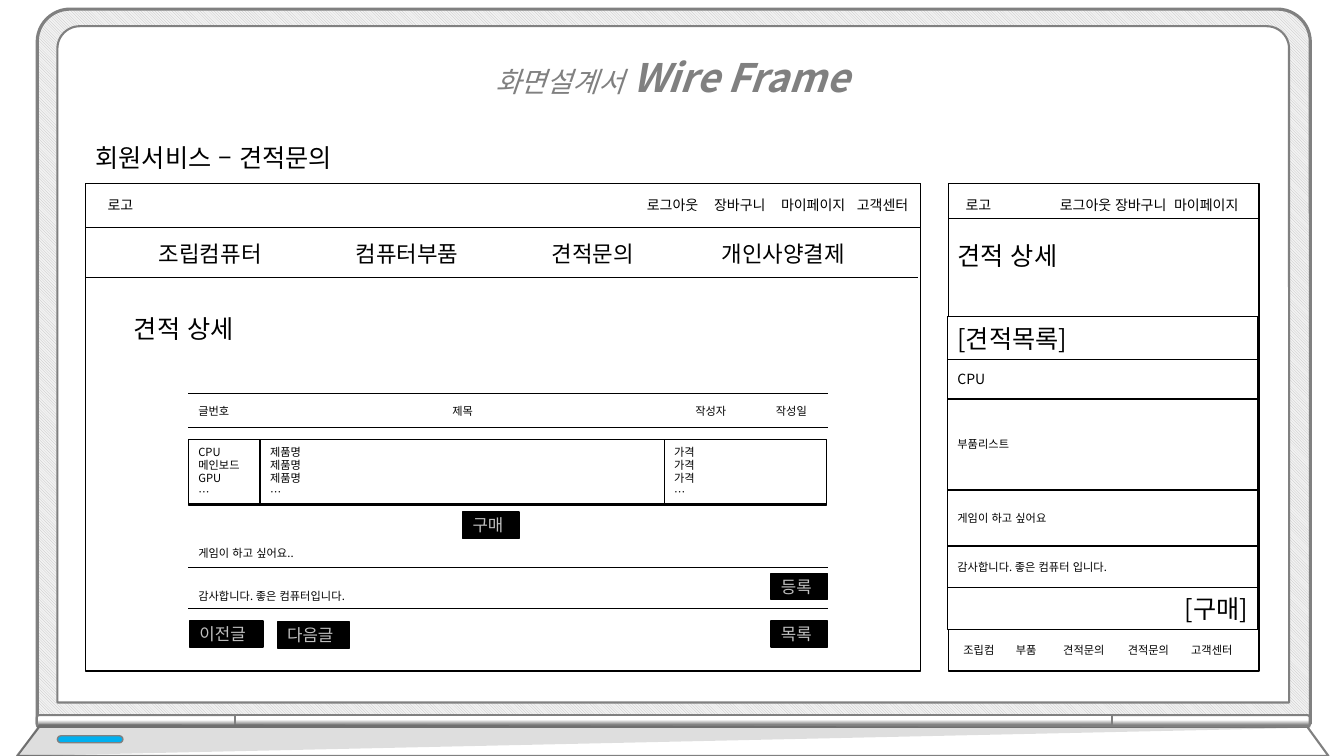
import pptx
import pptx.util
import pptx.dml.color
import pptx.enum.dml
import pptx.enum.lang
import pptx.enum.shapes
import pptx.enum.text
import pptx.oxml.ns
from lxml import etree

Pt = pptx.util.Pt
RGB = pptx.dml.color.RGBColor
KIND = pptx.enum.shapes.MSO_SHAPE
ALIGN = pptx.enum.text.PP_ALIGN
ANCHOR = pptx.enum.text.MSO_ANCHOR
KOREAN = pptx.enum.lang.MSO_LANGUAGE_ID.KOREAN
qn = pptx.oxml.ns.qn

BLACK = RGB(0x00, 0x00, 0x00)
WHITE = RGB(0xFF, 0xFF, 0xFF)
GRAY = RGB(0x80, 0x80, 0x80)
SILVER = RGB(0xBF, 0xBF, 0xBF)
PALE = RGB(0xF2, 0xF2, 0xF2)
BLUE = RGB(0x00, 0xB0, 0xF0)
FACE = "Noto Sans CJK KR"

deck = pptx.Presentation()
deck.slide_width, deck.slide_height = Pt(960), Pt(540)
slide = deck.slides.add_slide(deck.slide_layouts[5])
shapes = slide.shapes


def write(shape, lines, size, color=BLACK, align=ALIGN.LEFT, anchor=ANCHOR.TOP):
    frame = shape.text_frame
    frame.word_wrap = True
    frame.vertical_anchor = anchor
    form = {"name": FACE, "size": Pt(size), "language_id": KOREAN}
    for i, line in enumerate(lines):
        para = frame.add_paragraph() if i else frame.paragraphs[0]
        para.alignment = align
        run = para.add_run()
        run.text = line
        for key, val in form.items():
            setattr(run.font, key, val)
        run.font.color.rgb = color
        etree.SubElement(run.font._element, qn("a:ea"), typeface=FACE)


def draw(x, y, w, h, fill=WHITE, line=BLACK, wide=1, kind=KIND.RECTANGLE, adj=()):
    shape = shapes.add_shape(kind, Pt(x), Pt(y), Pt(w), Pt(h))
    shape.shadow.inherit = False
    shape.fill.solid()
    shape.fill.fore_color.rgb = fill
    shape.line.color.rgb = line
    shape.line.width = Pt(wide)
    for i, val in enumerate(adj):
        shape.adjustments[i] = val
    return shape


# Laptop lid and screen
ROUND = KIND.ROUND_2_SAME_RECTANGLE
lid = draw(26.6, 6.5, 909.4, 510.5, PALE, GRAY, 2.25, ROUND, (0.046, 0))
lid.fill.patterned()
lid.fill.pattern = pptx.enum.dml.MSO_PATTERN.LIGHT_DOWNWARD_DIAGONAL
lid.fill.fore_color.rgb = SILVER
lid.fill.back_color.rgb = PALE
draw(41, 18.7, 879.8, 483.1, WHITE, GRAY, 1.5, ROUND, (0.033, 0))

# Hinge strips, turned on their side
for x, y, h, turn, curve in [
    (92.9, 444.2, 141.8, 270, 0.193),
    (860.4, 444.2, 141.8, 90, 0.193),
    (476.6, 201.6, 626.4, 270, 0),
]:
    hinge = draw(x, y, 8.6, h, WHITE, GRAY, 1.5, ROUND, (curve, 0))
    hinge.rotation = turn
    hinge.fill.gradient()
    hinge.fill.gradient_angle = 0
    for stop, place, color in zip(hinge.fill.gradient_stops, (0.17, 0.59), (GRAY, WHITE)):
        stop.position = place
        stop.color.rgb = color
    if turn == 90:
        hinge.element.spPr.find(qn("a:xfrm")).set("flipH", "1")

# Keyboard base with its shade
base = [(28.1, 519.1), (933.8, 519.1), (949, 540), (12.2, 540)]
shade = [(28.1, 517), (12.2, 540), (937.4, 519.8)]
for dots, color in [(base, WHITE), (shade, BLACK)]:
    dots = [(Pt(x), Pt(y)) for x, y in dots]
    pen = shapes.build_freeform(*dots[0])
    pen.add_line_segments(dots[1:], close=True)
    form = pen.convert_to_shape()
    form.shadow.inherit = False
    form.fill.solid()
    form.fill.fore_color.rgb = color
    if color == WHITE:
        form.line.color.rgb = GRAY
        form.line.width = Pt(1.5)
    else:
        form.line.fill.background()
        tint = form.element.spPr.find(qn("a:solidFill"))[0]
        etree.SubElement(tint, qn("a:alpha"), val="13000")
draw(41, 525.6, 46.8, 5, BLUE, GRAY, 1, KIND.ROUNDED_RECTANGLE, (0.5,))

# Title, brought in front of the laptop
title = shapes.title
title.left, title.top, title.width, title.height = Pt(264.2), Pt(18), Pt(432), Pt(58.3)
write(title, ["화면설계서 "], 20, GRAY, ALIGN.CENTER)
title.text_frame.auto_size = pptx.enum.text.MSO_AUTO_SIZE.NONE
head = title.text_frame.paragraphs[0]
head.line_spacing = 1.5
last = head.add_run()
last.text = "Wire Frame"
for key, val in {"name": FACE, "size": Pt(28), "bold": True}.items():
    setattr(last.font, key, val)
last.font.color.rgb = GRAY
for run in head.runs:
    run.font.italic = True
title.element.getparent().append(title.element)

# Desktop and mobile panels
draw(61.2, 131, 596.2, 348.5)
draw(677.5, 131, 221.8, 348.5)
draw(61.2, 131, 596.2, 31.7)
draw(677.5, 449.3, 221.8, 29.5)

# Rules
for left, right, y in [
    (61.2, 655.9, 198),
    (134.6, 591.1, 280.8),
    (134.6, 591.1, 305.3),
    (134.6, 591.1, 405.4),
    (134.6, 591.1, 434.9),
    (677.5, 898.6, 156.2),
]:
    rule = shapes.add_connector(
        pptx.enum.shapes.MSO_CONNECTOR.STRAIGHT, Pt(left), Pt(y), Pt(right), Pt(y))
    rule.line.color.rgb = BLACK
    rule.line.width = Pt(0.5)
    etree.SubElement(rule.element.spPr, qn("a:effectLst"))

# Parts table
draw(134.6, 313.9, 455.8, 46.8)
for x, w, lines in [
    (134.6, 50.7, ["CPU", "메인보드", "GPU", "…"]),
    (185.8, 288.7, ["제품명"] * 3 + ["…"]),
    (474.5, 115.9, ["가격"] * 3 + ["…"]),
]:
    write(draw(x, 313.9, w, 46.1), lines, 8, anchor=ANCHOR.MIDDLE)

# Buttons
for x, y, w, name in [
    (550.8, 443.5, 40.3, "목록"),
    (330.5, 365.8, 40.3, "구매"),
    (135.4, 443.5, 52.6, "이전글"),
    (198, 444.2, 51.8, "다음글"),
    (550.8, 409.7, 40.3, "등록"),
]:
    write(draw(x, y, w, 18.7, BLACK), [name], 12, SILVER, anchor=ANCHOR.MIDDLE)

# Stacked mobile rows
y = 226
for h, name, size, align in [
    (31, "[견적목록]", 18, ALIGN.LEFT),
    (28, "CPU", 10, ALIGN.LEFT),
    (65, "부품리스트", 8, ALIGN.LEFT),
    (40, "게임이 하고 싶어요", 8, ALIGN.LEFT),
    (29.5, "감사합니다. 좋은 컴퓨터 입니다.", 8, ALIGN.LEFT),
    (30.2, "[구매]", 18, ALIGN.RIGHT),
]:
    write(draw(676.8, y, 221.8, h), [name], size, BLACK, align, ANCHOR.MIDDLE)
    y += h

# Labels, grouped by row: top, size, then left, width and wording
for y, size, items in [
    (97.9, 18, [(61.2, 224, "회원서비스 – 견적문의")]),
    (136.8, 10, [(69.8, 60, "로고"), (455, 60, "로그아웃"), (503, 60, "장바구니"),
                 (550.8, 65, "마이페이지"), (605, 60, "고객센터"), (682.6, 37.4, "로고"),
                 (750, 60, "로그아웃"), (789.4, 60, "장바구니"), (831.6, 65, "마이페이지")]),
    (167.8, 16, [(106.4, 110, "조립컴퓨터"), (247.1, 110, "컴퓨터부품"),
                 (387.1, 90, "견적문의"), (508.5, 130, "개인사양결제")]),
    (167.8, 18, [(676.8, 165, "견적 상세")]),
    (220.3, 18, [(88.6, 165, "견적 상세")]),
    (285.1, 8, [(134.6, 43.2, "글번호"), (316.1, 43.2, "제목"),
                (489.6, 43.2, "작성자"), (547.2, 43.2, "작성일")]),
    (386.6, 8, [(134.6, 455.8, "게임이 하고 싶어요..")]),
    (417.6, 8, [(134.6, 400, "감사합니다. 좋은 컴퓨터입니다.")]),
    (455.8, 8, [(681.1, 41, "조립컴"), (718.6, 41, "부품"), (752.4, 47.5, "견적문의"),
                (798.5, 47.5, "견적문의"), (843.8, 61.9, "고객센터")]),
]:
    for x, w, name in items:
        label = shapes.add_textbox(Pt(x), Pt(y), Pt(w), Pt(1.2 * size + 7.2))
        write(label, [name], size)

deck.save("out.pptx")
